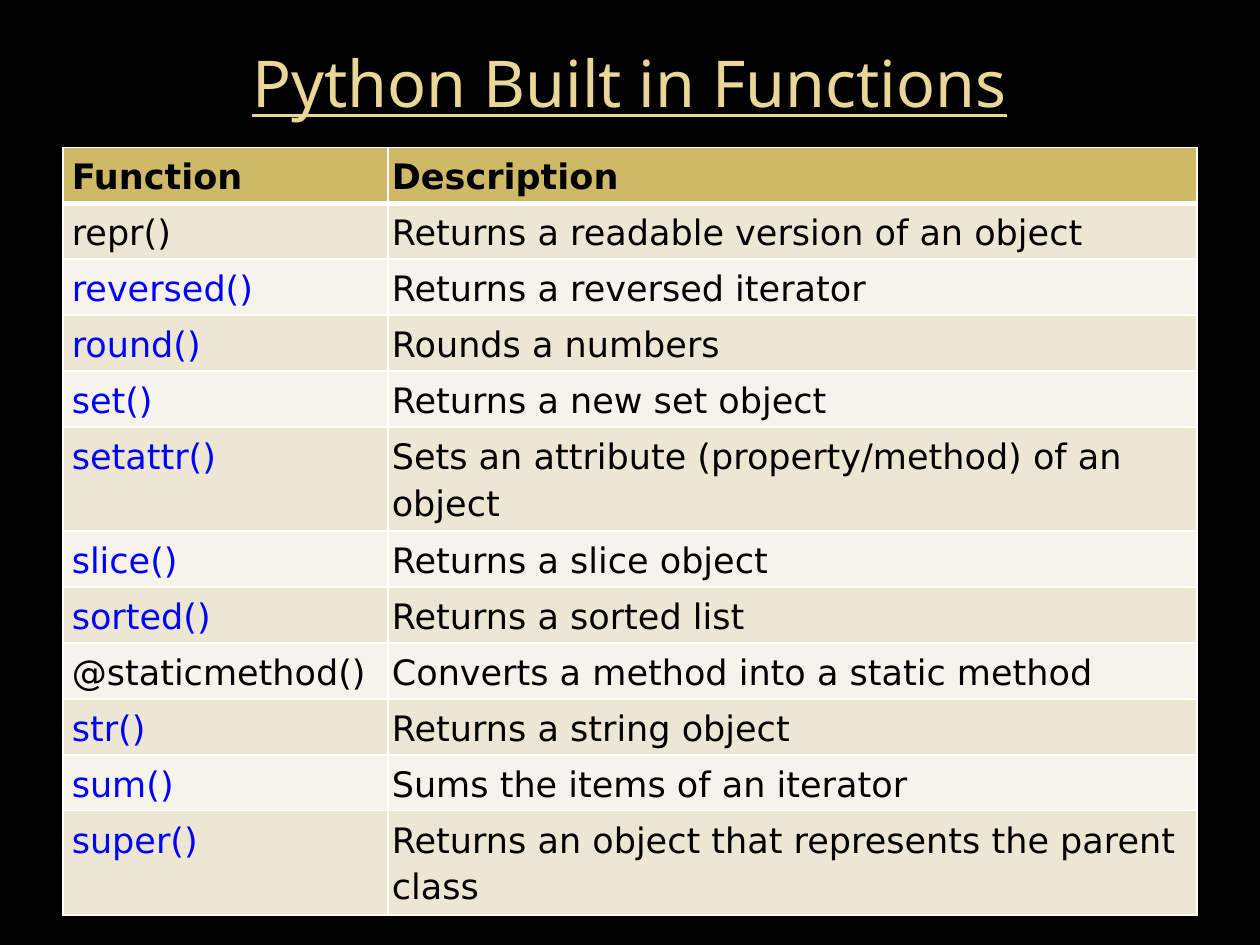
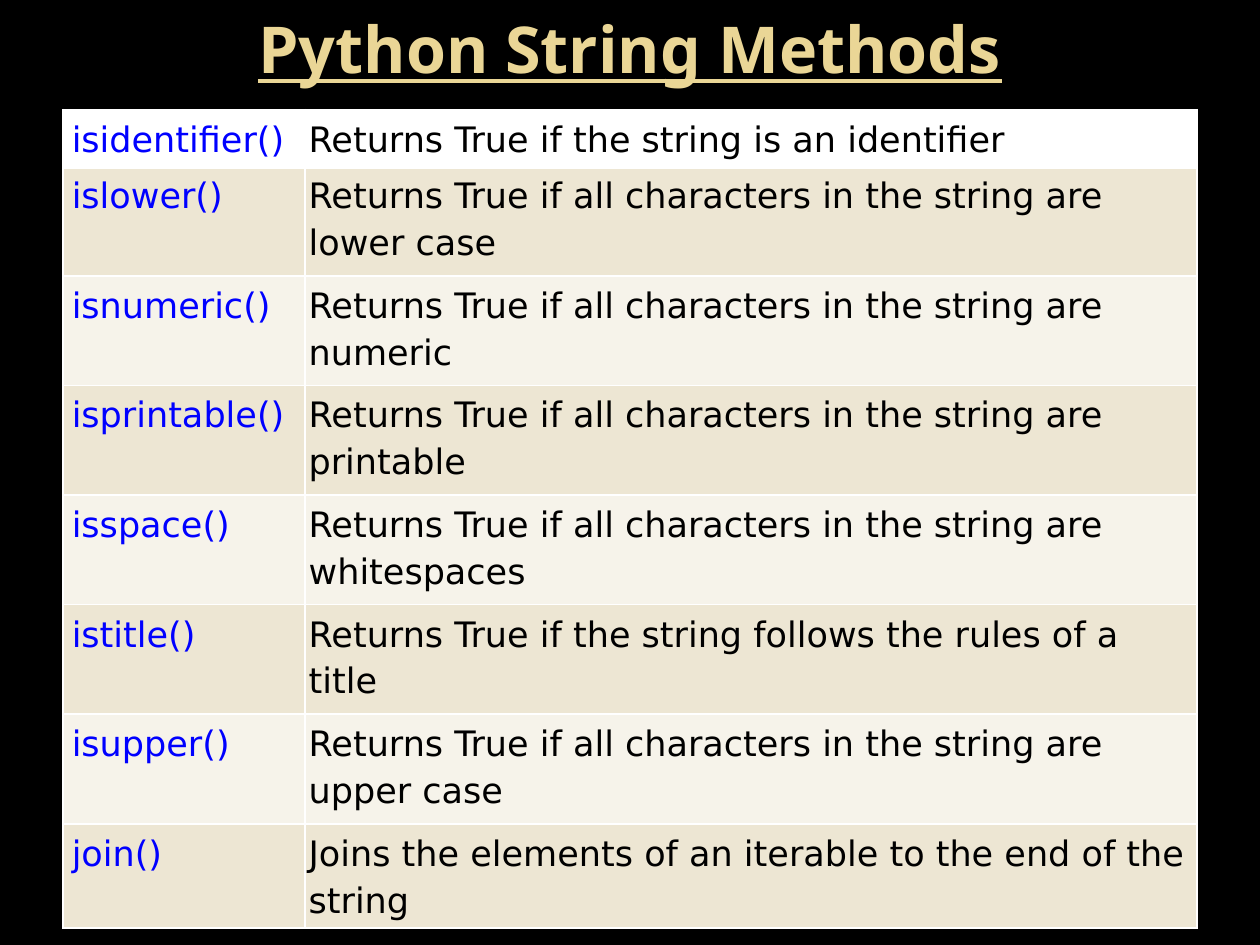
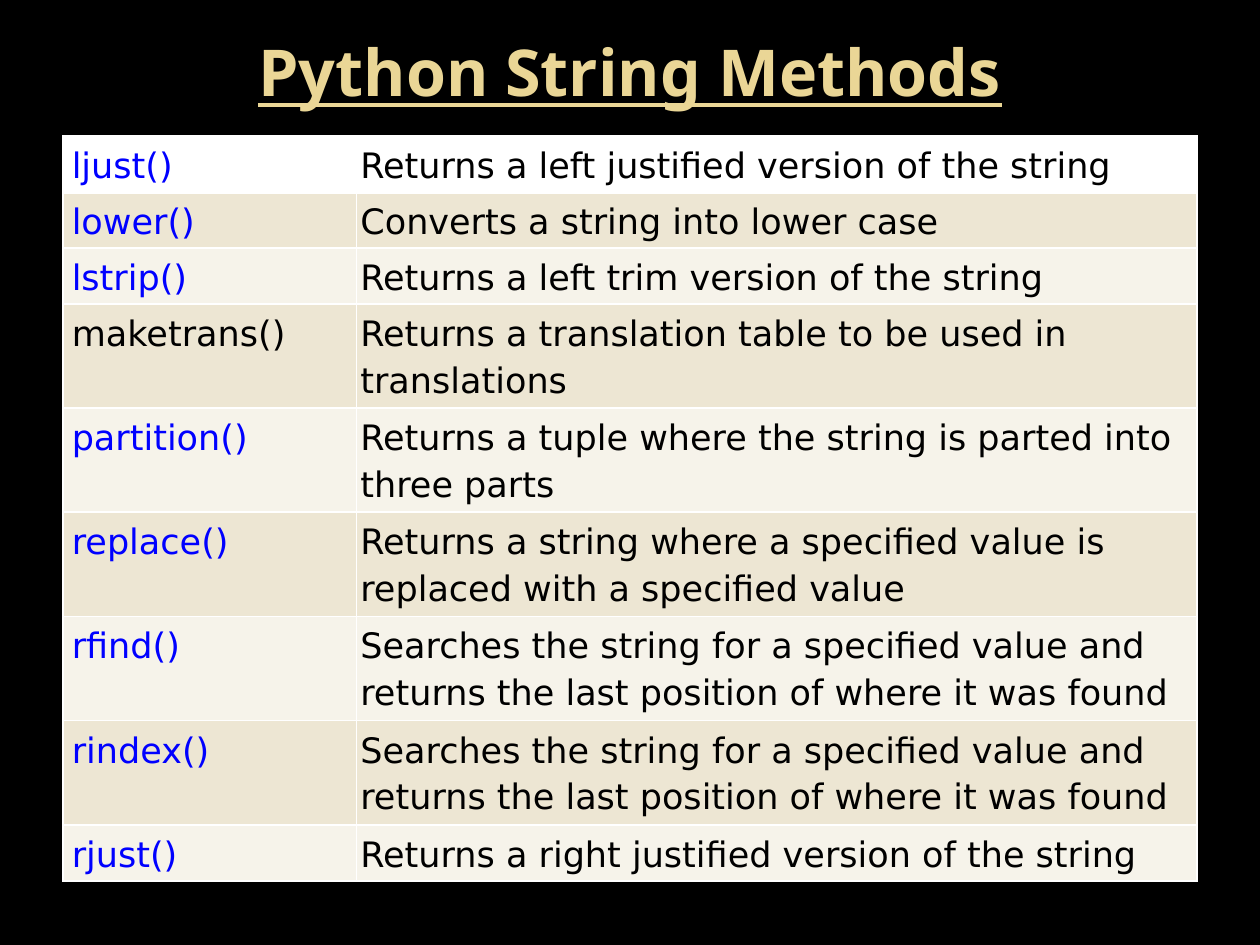
from dataclasses import dataclass

from lxml import etree
from pptx import Presentation
from pptx import util as u
from pptx.dml.color import RGBColor
from pptx.enum import text as t
from pptx.oxml.ns import qn

BUILT_INS = [
    ("Function", "Description"),
    ("repr()", "Returns a readable version of an object"),
    ("reversed()", "Returns a reversed iterator"),
    ("round()", "Rounds a numbers"),
    ("set()", "Returns a new set object"),
    ("setattr()", "Sets an attribute (property/method) of an object"),
    ("slice()", "Returns a slice object"),
    ("sorted()", "Returns a sorted list"),
    ("@staticmethod()", "Converts a method into a static method"),
    ("str()", "Returns a string object"),
    ("sum()", "Sums the items of an iterator"),
    ("super()", "Returns an object that represents the parent class"),
]
STRING_TESTS = [
    ("isidentifier()", "Returns True if the string is an identifier"),
    ("islower()", "Returns True if all characters in the string are lower case"),
    ("isnumeric()", "Returns True if all characters in the string are numeric"),
    ("isprintable()", "Returns True if all characters in the string are printable"),
    ("isspace()", "Returns True if all characters in the string are whitespaces"),
    ("istitle()", "Returns True if the string follows the rules of a title"),
    ("isupper()", "Returns True if all characters in the string are upper case"),
    ("join()", "Joins the elements of an iterable to the end of the string"),
]
LAST_POSITION = ("Searches the string for a specified value and returns "
                 "the last position of where it was found")
STRING_EDITS = [
    ("ljust()", "Returns a left justified version of the string"),
    ("lower()", "Converts a string into lower case"),
    ("lstrip()", "Returns a left trim version of the string"),
    ("maketrans()", "Returns a translation table to be used in translations"),
    ("partition()", "Returns a tuple where the string is parted into three parts"),
    ("replace()", "Returns a string where a specified value is replaced with a specified value"),
    ("rfind()", LAST_POSITION),
    ("rindex()", LAST_POSITION),
    ("rjust()", "Returns a right justified version of the string"),
]
BLACK_NAMES = {"Function", "repr()", "@staticmethod()", "maketrans()"}

# Title and table places are (top, height); all sizes in inches.
SLIDES = [
    dict(title="Python Built in Functions", title_bold=False, title_place=(0.3, 0.7),
         rows=BUILT_INS, has_header=True, table_place=(1.17, 6.17),
         name_width=2.58, row_heights=[0.41] * 12),
    dict(title="Python String Methods", title_bold=True, title_place=(0, 0.75),
         rows=STRING_TESTS, has_header=False, table_place=(0.87, 6.49),
         name_width=1.92, row_heights=[0.45] + [0.87] * 6 + [0.76]),
    dict(title="Python String Methods", title_bold=True, title_place=(0.3, 0.53),
         rows=STRING_EDITS, has_header=False, table_place=(1.08, 5.97),
         name_width=2.33, row_heights=[0.41] * 9),
]


@dataclass(frozen=True)
class Theme:
    background: str = "000000"
    title: str = "EAD696"
    header: str = "CEB966"
    bands: tuple = ("F6F3EA", "EDE6D3")
    white: str = "FFFFFF"
    body: str = "000000"
    name: str = "0000FF"
    title_font: str = "Noto Sans"
    body_font: str = "DejaVu Sans"
    title_size: float = 36.9
    body_size: float = 20
    line_spacing: float = 1.15
    left: float = 0.5
    width: float = 9


THEME = Theme()


def paint(fill, color):
    fill.solid()
    fill.fore_color.rgb = RGBColor.from_string(color)


def write(frame, text, *, font=THEME.body_font, size=THEME.body_size, color=THEME.body,
          bold=False, underline=False, align=t.PP_ALIGN.LEFT, spacing=1.0):
    para = frame.paragraphs[0]
    para.alignment = align
    para.line_spacing = spacing
    span = para.add_run()
    span.text = text
    span.font.name = font
    span.font.size = u.Pt(size)
    span.font.bold = bold
    span.font.underline = underline
    span.font.color.rgb = RGBColor.from_string(color)


def add_borders(cell, **widths):
    """Draw white cell edges, given as L, R, T, B widths in points."""
    properties = cell._tc.get_or_add_tcPr()
    for edge, width in widths.items():
        line = etree.SubElement(properties, qn(f"a:ln{edge}"), w=str(u.Pt(width)))
        solid = etree.SubElement(line, qn("a:solidFill"))
        etree.SubElement(solid, qn("a:srgbClr"), val=THEME.white)


def add_title(page, text, bold, place):
    top, height = place
    box = page.shapes.add_textbox(*map(u.Inches, (THEME.left, top, THEME.width, height)))
    box.text_frame.word_wrap = True
    box.text_frame.vertical_anchor = t.MSO_ANCHOR.MIDDLE
    write(box.text_frame, text, font=THEME.title_font, size=THEME.title_size,
          color=THEME.title, bold=bold, underline=True, align=t.PP_ALIGN.CENTER)


def fill_row(cells, texts, index, has_header):
    if index:
        background = THEME.bands[index % 2]
    else:
        background = THEME.header if has_header else THEME.white
    for column, (cell, text) in enumerate(zip(cells, texts)):
        is_name = column == 0
        cell.margin_left = u.Inches(0.07 if is_name else 0.03)
        cell.margin_right = cell.margin_top = cell.margin_bottom = u.Inches(0.03)
        add_borders(cell, L=1, R=1, T=3 if index == 1 else 1, B=1 if index else 3)
        paint(cell.fill, background)
        is_blue = is_name and text not in BLACK_NAMES
        write(cell.text_frame, text, color=THEME.name if is_blue else THEME.body,
              bold=has_header and index == 0, spacing=THEME.line_spacing)


def add_reference_table(page, rows, has_header, place, name_width, row_heights):
    top, height = place
    holder = page.shapes.add_table(
        len(rows), 2, *map(u.Inches, (THEME.left, top, THEME.width, height)))
    table = holder.table
    table.first_row = table.horz_banding = False
    table.columns[0].width = u.Inches(name_width)
    table.columns[1].width = u.Inches(THEME.width - name_width)
    for index, (row, texts) in enumerate(zip(table.rows, rows)):
        row.height = u.Inches(row_heights[index])
        fill_row(row.cells, texts, index, has_header)
    holder.height = u.Inches(height)


def main():
    deck = Presentation()
    deck.slide_width, deck.slide_height = u.Inches(10), u.Inches(7.5)
    for content in SLIDES:
        page = deck.slides.add_slide(deck.slide_layouts[6])
        paint(page.background.fill, THEME.background)
        add_title(page, content["title"], content["title_bold"], content["title_place"])
        add_reference_table(page, content["rows"], content["has_header"],
                            content["table_place"], content["name_width"],
                            content["row_heights"])
    deck.save("out.pptx")


if __name__ == "__main__":
    main()
